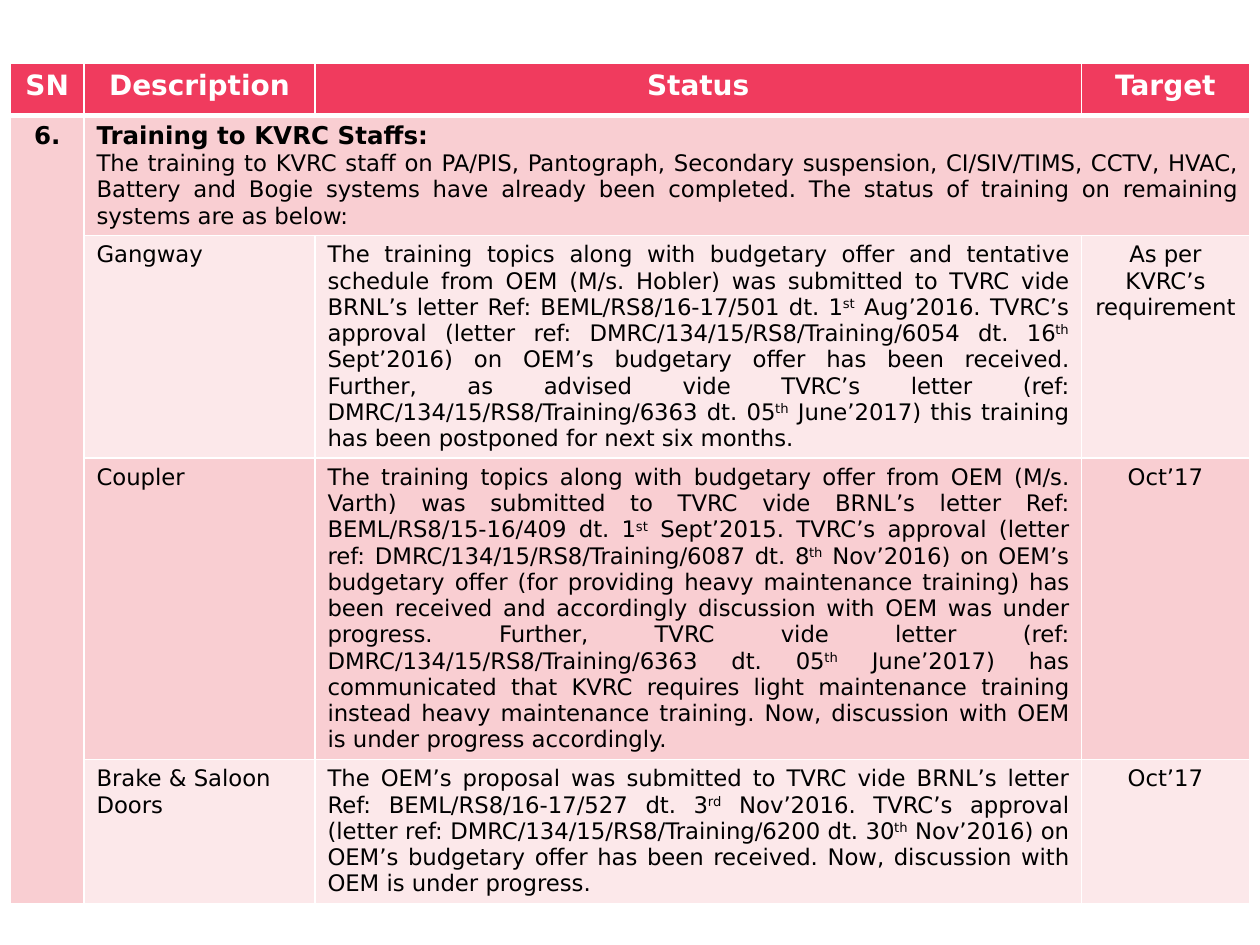
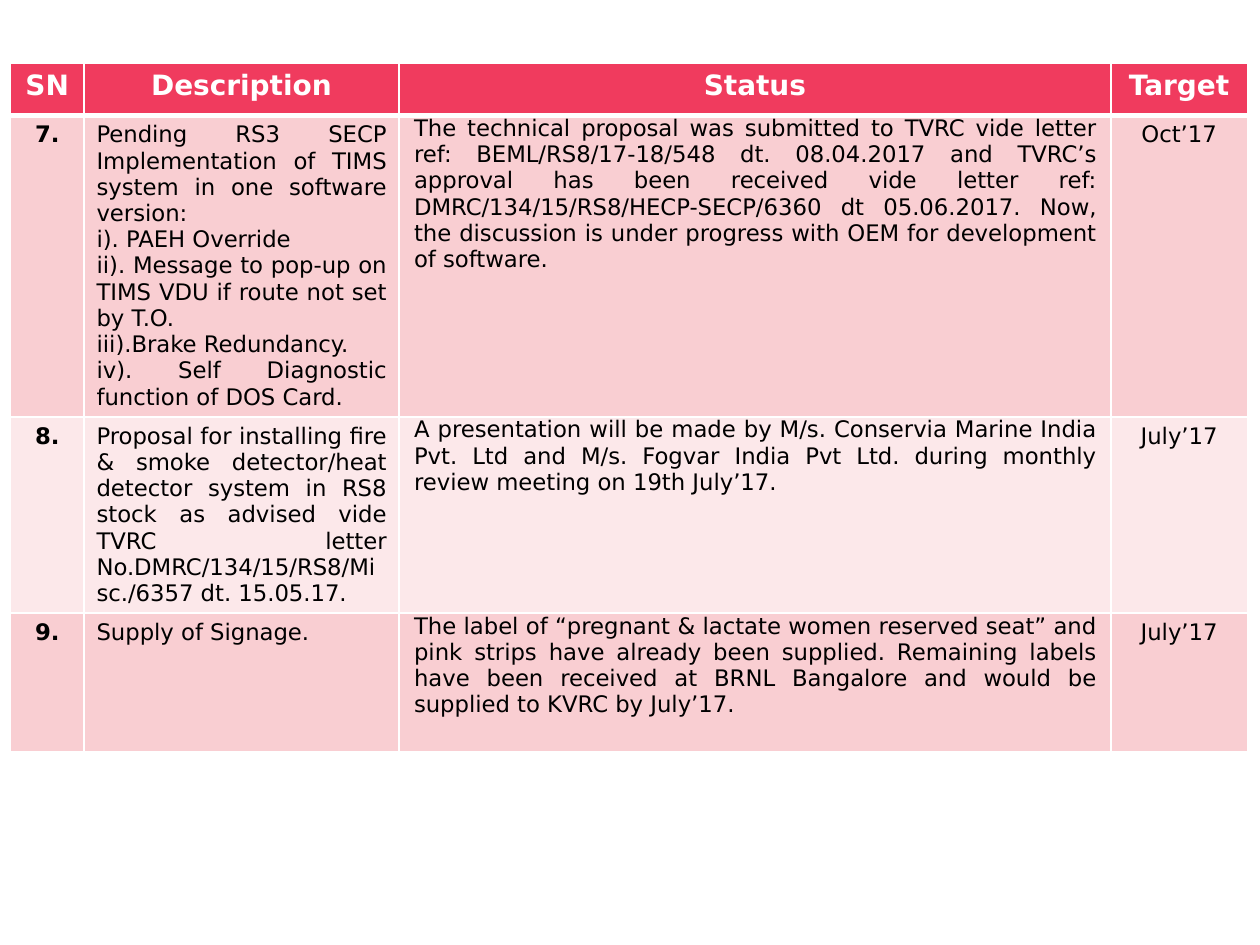
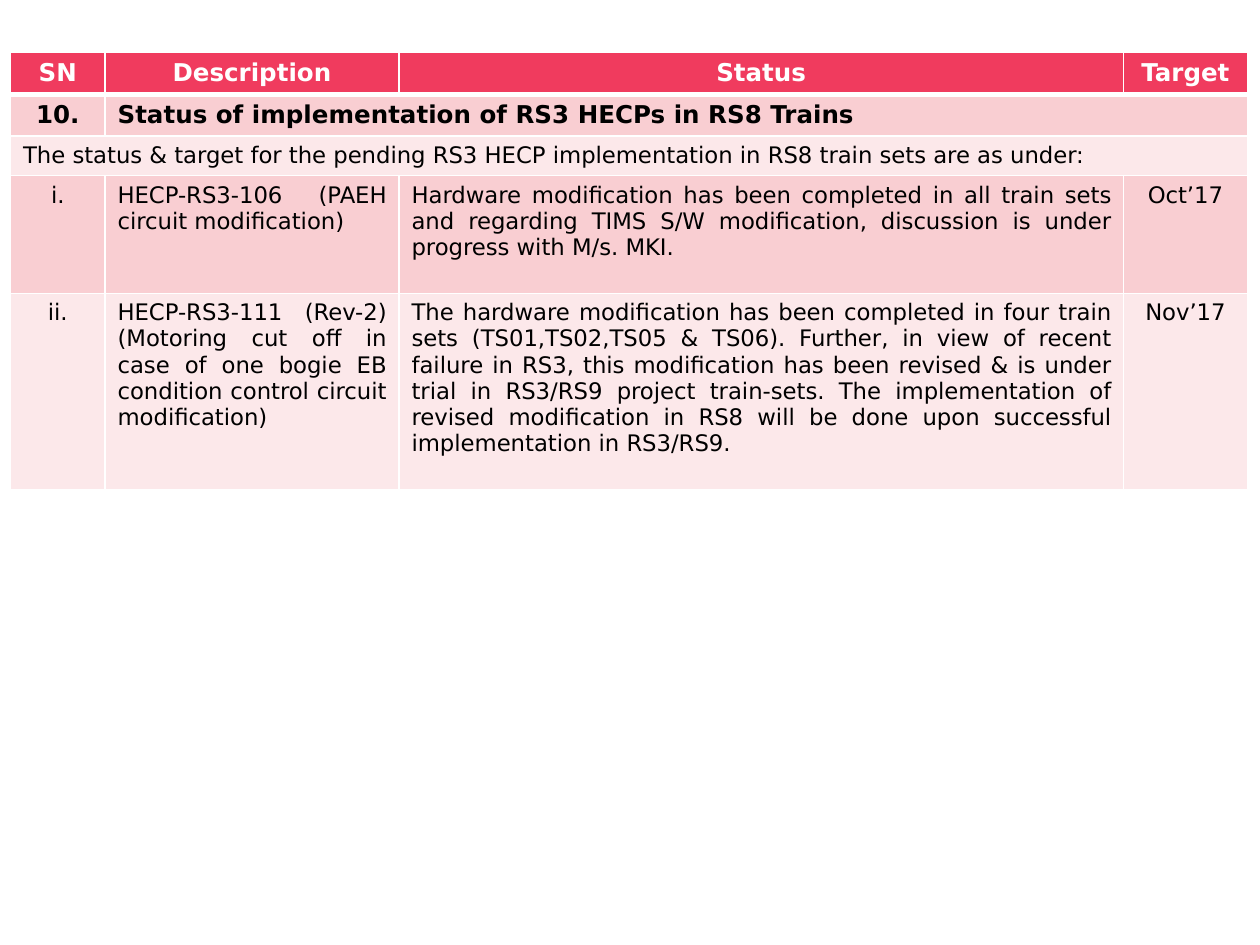
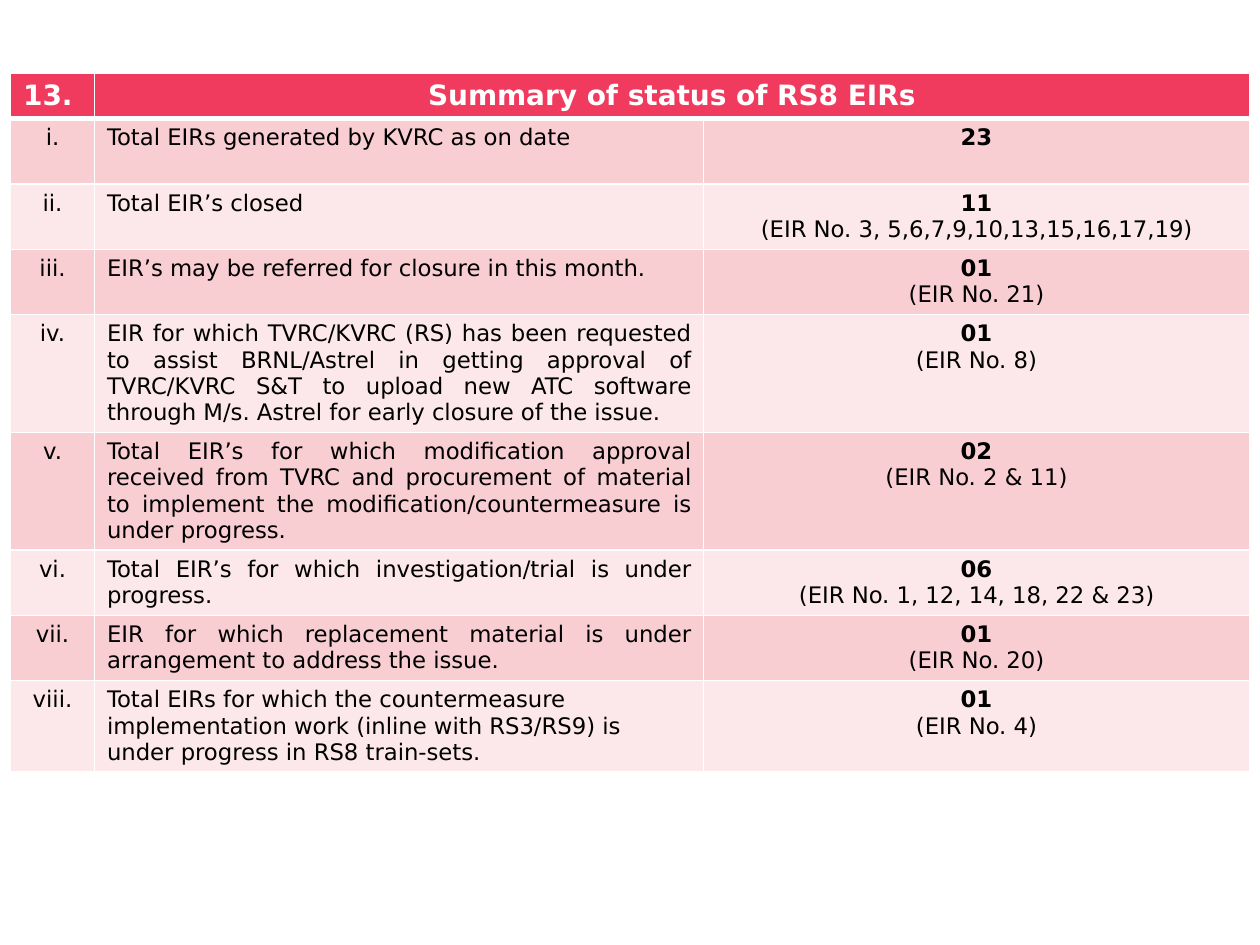
from lxml import etree
from pptx import Presentation
from pptx.dml.color import RGBColor
from pptx.enum.text import PP_ALIGN
from pptx.oxml.ns import qn
from pptx.util import Inches, Pt

LEFT, CENTER, JUSTIFY = PP_ALIGN.LEFT, PP_ALIGN.CENTER, PP_ALIGN.JUSTIFY
WHITE = RGBColor(0xFF, 0xFF, 0xFF)
BLACK = RGBColor(0, 0, 0)
HEADER_RED = RGBColor(0xF0, 0x3B, 0x5E)
BANDS = (RGBColor(0xFC, 0xE8, 0xEA), RGBColor(0xF9, 0xCE, 0xD2))
FONT = "DejaVu Sans"
BODY_SIZE, HEADING_SIZE = 13, 14
THIN, THICK = 1, 3
SLIDE_WIDTH, SLIDE_HEIGHT = Inches(10), Inches(7.5)
UNIT = SLIDE_WIDTH / 120
MARGIN_COLUMN = 1
HEADINGS = ["SN", "Description", "Status", "Target"]
BOLD_MARK, HEADING_MARK, LEFT_MARK, SUPERSCRIPT_MARK = "*", "#", "<", "^"


def grid(units):
    """Turn grid units into a length."""
    return round(units * UNIT)


def set_borders(cell, top, bottom):
    """Draw white lines round a cell, with the given top and bottom widths."""
    properties = cell._tc.get_or_add_tcPr()
    widths = {"a:lnL": THIN, "a:lnR": THIN, "a:lnT": top, "a:lnB": bottom}
    for position, (side, width) in enumerate(widths.items()):
        line = etree.Element(qn(side), w=str(Pt(width)))
        fill = etree.SubElement(line, qn("a:solidFill"))
        etree.SubElement(fill, qn("a:srgbClr"), val=str(WHITE))
        properties.insert(position, line)


def write_paragraph(paragraph, text, align, size, color, bold):
    """Write one marked-up line, raising the parts between superscript marks."""
    mark = text[0]
    if mark in (BOLD_MARK, HEADING_MARK, LEFT_MARK):
        text = text[1:]
    paragraph.alignment = LEFT if mark == LEFT_MARK else align
    for index, part in enumerate(text.split(SUPERSCRIPT_MARK)):
        run = paragraph.add_run()
        run.text = part
        run.font.name = FONT
        run.font.size = Pt(HEADING_SIZE if mark == HEADING_MARK else size)
        run.font.bold = bold or mark in (BOLD_MARK, HEADING_MARK)
        run.font.color.rgb = color
        if index % 2:
            run.font._element.set("baseline", "30000")


def write_cell(cell, text, align, size=BODY_SIZE, color=BLACK, bold=False):
    """Fill a cell with one paragraph for each line of text."""
    frame = cell.text_frame
    for index, line in enumerate(text.split("\n")):
        paragraph = frame.add_paragraph() if index else frame.paragraphs[0]
        write_paragraph(paragraph, line, align, size, color, bold)


def add_status_table(slide, top, columns, heights, rows, aligns, merges=(),
                     header_size=16, flush_column=None):
    """Place a banded table whose first row is the header, sized in grid units."""
    table = slide.shapes.add_table(
        len(rows), len(columns), grid(MARGIN_COLUMN), grid(top),
        grid(sum(columns)), grid(sum(heights))).table
    table.horz_banding = False
    for column, width in zip(table.columns, columns):
        column.width = grid(width)
    for row, height in zip(table.rows, heights):
        row.height = grid(height)
    for row, column, last_row, last_column in merges:
        table.cell(row, column).merge(table.cell(last_row, last_column))
    for row, texts in enumerate(rows):
        for column, text in enumerate(texts):
            cell = table.cell(row, column)
            cell.fill.solid()
            cell.fill.fore_color.rgb = BANDS[row % 2] if row else HEADER_RED
            set_borders(cell, THICK if row == 1 else THIN, THIN if row else THICK)
            if row and column == flush_column:
                cell.margin_left = cell.margin_right = Inches(0.12)
                cell.margin_top = cell.margin_bottom = 0
            if not text:
                continue
            if row == 0:
                write_cell(cell, text, CENTER, header_size, WHITE, True)
            else:
                spans_columns = cell.is_merge_origin and cell.span_width > 1
                write_cell(cell, text, JUSTIFY if spans_columns else aligns[column])


def build_training(slide):
    """Item 6: staff training by system."""
    rows = [
        HEADINGS,
        ["#6.", "#Training to KVRC Staffs:\nThe training to KVRC staff on PA/PIS, "
         "Pantograph, Secondary suspension, CI/SIV/TIMS, CCTV, HVAC, Battery and "
         "Bogie systems have already been completed. The status of training on "
         "remaining systems are as below:", "", ""],
        ["", "Gangway",
         "The training topics along with budgetary offer and tentative schedule from "
         "OEM (M/s. Hobler) was submitted to TVRC vide BRNL’s letter Ref: "
         "BEML/RS8/16-17/501 dt. 1^st^ Aug’2016. TVRC’s approval (letter ref: "
         "DMRC/134/15/RS8/Training/6054 dt. 16^th^ Sept’2016) on OEM’s budgetary "
         "offer has been received. Further, as advised vide TVRC’s letter (ref: "
         "DMRC/134/15/RS8/Training/6363 dt. 05^th^ June’2017) this training has been "
         "postponed for next six months.", "As per KVRC’s requirement"],
        ["", "Coupler",
         "The training topics along with budgetary offer from OEM (M/s. Varth) was "
         "submitted to TVRC vide BRNL’s letter Ref: BEML/RS8/15-16/409 dt. 1^st^ "
         "Sept’2015. TVRC’s approval (letter ref: DMRC/134/15/RS8/Training/6087 dt. "
         "8^th^ Nov’2016) on OEM’s budgetary offer (for providing heavy maintenance "
         "training) has been received and accordingly discussion with OEM was under "
         "progress. Further, TVRC vide letter (ref: DMRC/134/15/RS8/Training/6363 dt. "
         "05^th^ June’2017) has communicated that KVRC requires light maintenance "
         "training instead heavy maintenance training. Now, discussion with OEM is "
         "under progress accordingly.", "Oct’17"],
        ["", "Brake & Saloon Doors",
         "The OEM’s proposal was submitted to TVRC vide BRNL’s letter Ref: "
         "BEML/RS8/16-17/527 dt. 3^rd^ Nov’2016. TVRC’s approval (letter ref: "
         "DMRC/134/15/RS8/Training/6200 dt. 30^th^ Nov’2016) on OEM’s budgetary offer "
         "has been received. Now, discussion with OEM is under progress.", "Oct’17"],
    ]
    add_status_table(slide, 6, [7, 22, 73, 16], [5, 11.4, 21.1, 28.7, 13.7], rows,
                     [CENTER, LEFT, JUSTIFY, CENTER],
                     merges=[(1, 0, 4, 0), (1, 1, 1, 3)])


def build_proposals(slide):
    """Items 7 to 9: software, detectors and signage."""
    rows = [
        HEADINGS,
        ["*7.", "Pending RS3 SECP Implementation of TIMS system in one software "
         "version:\ni). PAEH Override\nii). Message to pop-up on TIMS VDU if route "
         "not set by T.O.\niii).Brake Redundancy.\niv). Self Diagnostic function of "
         "DOS Card.",
         "The technical proposal was submitted to TVRC vide letter ref: "
         "BEML/RS8/17-18/548 dt. 08.04.2017 and TVRC’s approval has been received "
         "vide letter ref: DMRC/134/15/RS8/HECP-SECP/6360 dt 05.06.2017. Now, the "
         "discussion is under progress with OEM for development of software.",
         "Oct’17"],
        ["*8.", "Proposal for installing fire & smoke detector/heat detector system "
         "in RS8 stock as advised vide TVRC letter No.DMRC/134/15/RS8/Misc./6357 dt. "
         "15.05.17.",
         "A presentation will be made by M/s. Conservia Marine India Pvt. Ltd and "
         "M/s. Fogvar India Pvt Ltd. during monthly review meeting on 19th July’17.",
         "July’17"],
        ["*9.", "Supply of Signage.",
         "The label of “pregnant & lactate women reserved seat” and pink strips have "
         "already been supplied. Remaining labels have been received at BRNL "
         "Bangalore and would be supplied to KVRC by July’17.", "July’17"],
    ]
    add_status_table(slide, 6, [7, 30, 67.8, 13], [5, 28.6, 18.7, 13.2], rows,
                     [CENTER, JUSTIFY, JUSTIFY, CENTER], flush_column=2)


def build_modifications(slide):
    """Item 10: pending modifications."""
    rows = [
        HEADINGS,
        ["#10.", "#Status of implementation of RS3 HECPs in RS8 Trains", "", ""],
        ["The status & target for the pending RS3 HECP implementation in RS8 train "
         "sets are as under:", "", "", ""],
        ["i.", "HECP-RS3-106 (PAEH circuit modification)",
         "Hardware modification has been completed in all train sets and regarding "
         "TIMS S/W modification, discussion is under progress with M/s. MKI.",
         "Oct’17"],
        ["ii.", "HECP-RS3-111 (Rev-2) (Motoring cut off in case of one bogie EB "
         "condition control circuit modification)",
         "The hardware modification has been completed in four train sets "
         "(TS01,TS02,TS05 & TS06). Further, in view of recent failure in RS3, this "
         "modification has been revised & is under trial in RS3/RS9 project "
         "train-sets. The implementation of revised modification in RS8 will be done "
         "upon successful implementation in RS3/RS9.", "Nov’17"],
    ]
    add_status_table(slide, 5, [9, 28, 69, 11.8], [4, 3.9, 3.8, 11.2, 18.7], rows,
                     [CENTER, JUSTIFY, JUSTIFY, CENTER],
                     merges=[(1, 1, 1, 3), (2, 0, 2, 3)], header_size=14)


def build_summary(slide):
    """Item 13: counts by status."""
    rows = [
        ["<13.", "Summary of status of RS8 EIRs", ""],
        ["i.", "Total EIRs generated by KVRC as on date", "*23"],
        ["ii.", "Total EIR’s closed",
         "*11\n(EIR No. 3, 5,6,7,9,10,13,15,16,17,19)"],
        ["iii.", "EIR’s may be referred for closure in this month.",
         "*01\n(EIR No. 21)"],
        ["iv.", "EIR for which TVRC/KVRC (RS) has been requested to assist "
         "BRNL/Astrel in getting approval of TVRC/KVRC S&T to upload new ATC software "
         "through M/s. Astrel for early closure of the issue.", "*01\n(EIR No. 8)"],
        ["v.", "Total EIR’s for which modification approval received from TVRC and "
         "procurement of material to implement the modification/countermeasure is "
         "under progress.", "*02\n(EIR No. 2 & 11)"],
        ["vi.", "Total EIR’s for which investigation/trial is under progress.",
         "*06\n(EIR No. 1, 12, 14, 18, 22 & 23)"],
        ["vii.", "EIR for which replacement material is under arrangement to address "
         "the issue.", "*01\n(EIR No. 20)"],
        ["viii.", "<Total EIRs for which the countermeasure implementation work "
         "(inline with RS3/RS9) is under progress in RS8 train-sets.",
         "*01\n(EIR No. 4)"],
    ]
    two_lines, four_lines = 6.23, 11.2
    heights = [4.2] + [two_lines] * 3 + [four_lines] * 2 + [two_lines] * 2 + [8.7]
    add_status_table(slide, 7, [8, 58, 52], heights, rows,
                     [CENTER, JUSTIFY, CENTER], merges=[(0, 1, 0, 2)])


def main():
    """Build and save the four slides."""
    deck = Presentation()
    deck.slide_width, deck.slide_height = SLIDE_WIDTH, SLIDE_HEIGHT
    blank_layout = deck.slide_layouts[6]
    for build in (build_training, build_proposals, build_modifications, build_summary):
        build(deck.slides.add_slide(blank_layout))
    deck.save("out.pptx")


if __name__ == "__main__":
    main()
